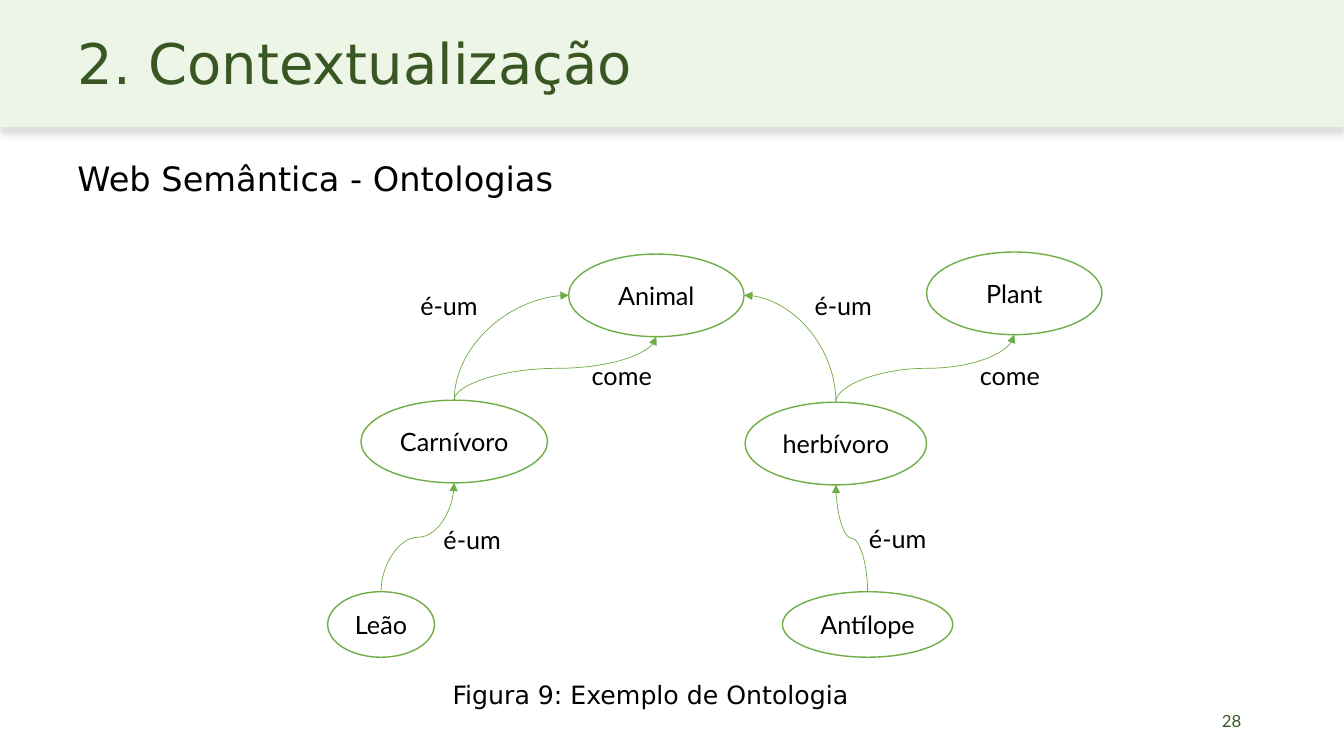
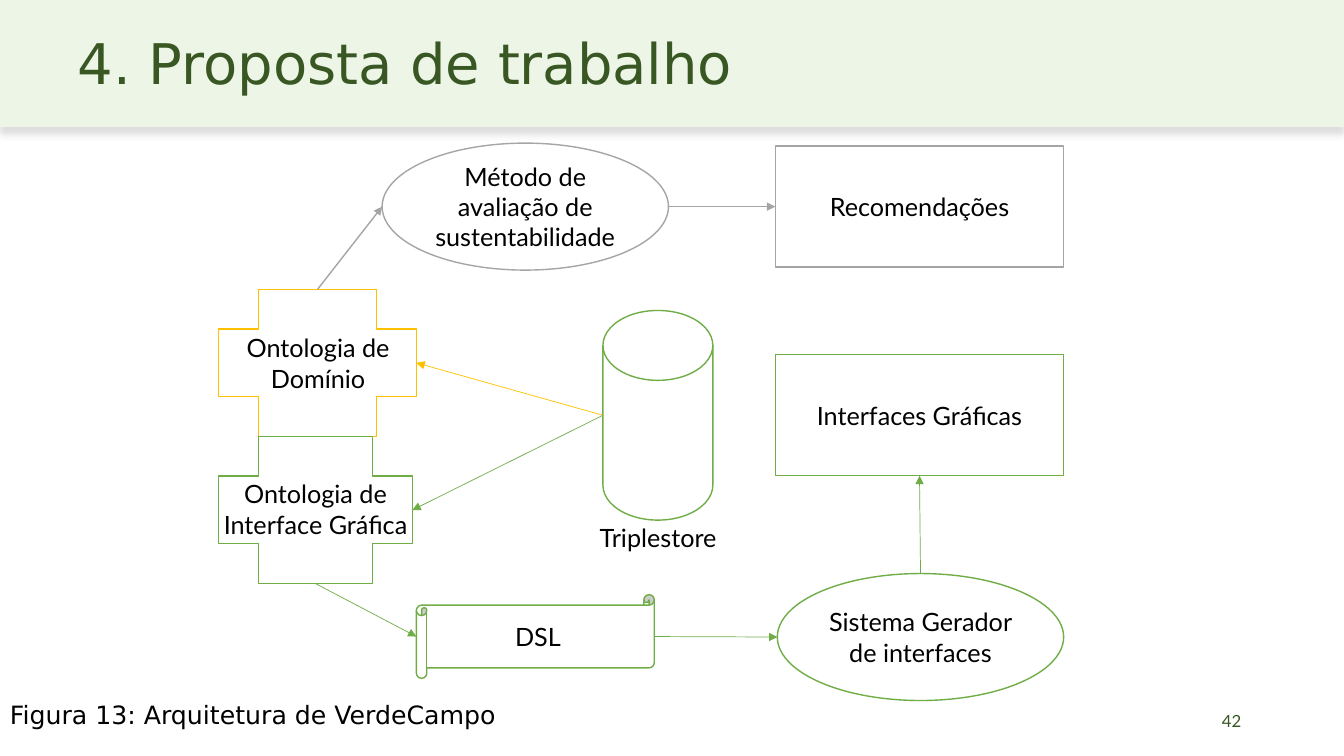
from lxml.etree import SubElement
from pptx import Presentation
from pptx.dml.color import RGBColor
from pptx.enum.shapes import MSO_CONNECTOR as CXN, MSO_SHAPE as SHAPE
from pptx.enum.text import MSO_ANCHOR as ANCHOR, MSO_AUTO_SIZE as FIT, PP_ALIGN as ALIGN
from pptx.oxml.ns import qn
from pptx.util import Inches, Pt

COLORS = {
    "band": "EDF5E7", "title": "385723", "text": "000000", "white": "FFFFFF",
    "green": "70AD47", "gold": "FFC000", "gray": "A5A5A5", "shadow": "BFBFBF",
}
HEAD, BODY = "DejaVu Sans", "Lato"
SIDES = ("top", "left", "bottom", "right")
SITES = {SHAPE.OVAL: (0, 2, 4, 6), SHAPE.FLOWCHART_MAGNETIC_DISK: (1, 2, 3, 4)}


def rgb(name):
    return RGBColor.from_string(COLORS[name])


class Deck:
    def __init__(self):
        self.prs = Presentation()
        self.prs.slide_width, self.prs.slide_height = Inches(13.33), Inches(7.5)
        self.layout = self.prs.slide_layouts[5]
        self.s = None

    def slide(self, title, number):
        first = self.s is None
        self.s = self.prs.slides.add_slide(self.layout)
        if first:
            self.band()
        sp = self.s.shapes.title
        self.place(sp, 0.67, 0, 11.75, 1.24)
        self.fill_text(sp, title, font=HEAD, size=40, color="title", anchor=ANCHOR.MIDDLE)
        self.text(number, 8.83, 6.95, 3.58, 0.4, size=12, color="title",
                  align=ALIGN.RIGHT, anchor=ANCHOR.MIDDLE)

    def band(self):
        sp = self.shape(SHAPE.RECTANGLE, 0, 0, 13.33, 1.26, fill="band", line=None)
        effects = sp.element.spPr.find(qn("a:effectLst"))
        shadow = SubElement(effects, qn("a:outerShdw"), blurRad=str(Pt(5)),
                            dist=str(Pt(5)), dir="5400000", rotWithShape="0")
        color = SubElement(shadow, qn("a:srgbClr"), val=COLORS["shadow"])
        SubElement(color, qn("a:alpha"), val="50000")
        self.layout.shapes.element.insert(2, sp.element)

    def place(self, sp, *box):
        for name, value in zip(("left", "top", "width", "height"), box):
            setattr(sp, name, Inches(value))

    def fill_text(self, sp, text, font=BODY, size=18, color="text", align=ALIGN.LEFT,
                  anchor=ANCHOR.TOP, wrap=True, margin=0.1, spacing=None):
        tf = sp.text_frame
        frame = {"auto_size": FIT.NONE, "word_wrap": wrap, "vertical_anchor": anchor,
                 "margin_left": Inches(margin), "margin_right": Inches(margin)}
        for name, value in frame.items():
            setattr(tf, name, value)
        tf.text = text
        for p in tf.paragraphs:
            p.alignment = align
            p.line_spacing = spacing
            for r in p.runs:
                for name, value in {"name": font, "size": Pt(size)}.items():
                    setattr(r.font, name, value)
                r.font.color.rgb = rgb(color)

    def text(self, text, x, y, w, h, **style):
        sp = self.s.shapes.add_textbox(*map(Inches, (x, y, w, h)))
        self.fill_text(sp, text, **style)

    def label(self, text, x, y, w, h=0.4, **style):
        self.text(text, x, y, w, h, wrap=False, **style)

    def shape(self, kind, x, y, w, h, fill="white", line="green"):
        sp = self.s.shapes.add_shape(kind, *map(Inches, (x, y, w, h)))
        sp.shadow.inherit = False
        sp.fill.solid()
        sp.fill.fore_color.rgb = rgb(fill)
        if line:
            sp.line.color.rgb = rgb(line)
            sp.line.width = Pt(1)
        else:
            sp.line.fill.background()
        return sp

    def node(self, text, kind, x, y, w, h, line="green"):
        sp = self.shape(kind, x, y, w, h, line=line)
        self.fill_text(sp, text, align=ALIGN.CENTER, anchor=ANCHOR.MIDDLE, margin=0.08)
        return sp

    def cross(self, text, x, y, w, h, line, label_box):
        sp = self.shape(SHAPE.CROSS, x, y, w, h, line=line)
        sp.adjustments[0] = 0.27
        self.label(text, *label_box, align=ALIGN.CENTER)
        return sp

    def anchor_point(self, sp, side):
        x = {"left": 0, "right": sp.width}.get(side, sp.width // 2)
        y = {"top": 0, "bottom": sp.height}.get(side, sp.height // 2)
        return sp.left + x, sp.top + y

    def arrow(self, start, start_side, end, end_side, color="green", width=0.5, curved=False):
        x1, y1 = self.anchor_point(start, start_side)
        x2, y2 = self.anchor_point(end, end_side)
        kind = CXN.CURVE if curved else CXN.STRAIGHT
        cxn = self.s.shapes.add_connector(kind, x1, y1, x2, y2)
        cxn.line.color.rgb = rgb(color)
        cxn.line.width = Pt(width)
        SubElement(cxn.element.spPr.find(qn("a:ln")), qn("a:tailEnd"), type="triangle")
        SubElement(cxn.element.spPr, qn("a:effectLst"))
        glue = cxn.element.nvCxnSpPr.cNvCxnSpPr
        for tag, sp, side in (("a:stCxn", start, start_side), ("a:endCxn", end, end_side)):
            site = SITES.get(sp.auto_shape_type, (0, 1, 2, 3))[SIDES.index(side)]
            SubElement(glue, qn(tag), id=str(sp.shape_id), idx=str(site))
        if curved:
            self.bend_upward(cxn, x1, y1, x2, y2, end_side)

    def bend_upward(self, cxn, x1, y1, x2, y2, end_side):
        w, h = abs(y2 - y1), abs(x2 - x1)
        cxn.left, cxn.top = (x1 + x2 - w) // 2, (y1 + y2 - h) // 2
        cxn.width, cxn.height = w, h
        xfrm = cxn.element.spPr.find(qn("a:xfrm"))
        rightward = x2 > x1
        turn = {"rot": "5400000" if rightward else "16200000",
                "flipH": "1" if rightward else "0", "flipV": "1"}
        for name, value in turn.items():
            xfrm.set(name, value)
        if end_side in ("left", "right"):
            cxn.element.spPr.find(qn("a:prstGeom")).set("prst", "curvedConnector2")


def ontology_slide(d):
    d.slide("2. Contextualização", "28")
    d.label("Figura 9: Exemplo de Ontologia", 4.39, 6.69, 4.22, font=HEAD)
    d.text("Web Semântica - Ontologias", 0.67, 1.4, 12.12, 0.79, font=HEAD, size=24,
           anchor=ANCHOR.MIDDLE, spacing=0.9)
    lion, carnivore, herbivore, animal, plant, antelope = [
        d.node(text, SHAPE.OVAL, *box) for text, *box in (
            ("Leão", 3.25, 5.87, 1.06, 0.65),
            ("Carnívoro", 3.58, 3.97, 1.85, 0.82),
            ("herbívoro", 7.39, 3.99, 1.8, 0.82),
            ("Animal", 5.64, 2.52, 1.74, 0.82),
            ("Plant", 9.19, 2.5, 1.74, 0.82),
            ("Antílope", 7.76, 5.87, 1.69, 0.65),
        )]
    for start, end, side in (
        (lion, carnivore, "bottom"), (carnivore, animal, "left"),
        (herbivore, animal, "right"), (carnivore, animal, "bottom"),
        (herbivore, plant, "bottom"), (antelope, herbivore, "bottom"),
    ):
        d.arrow(start, "top", end, side, curved=True)
    for x, y in ((4.3, 5.15), (8.52, 5.14), (4.07, 2.83), (7.98, 2.83)):
        d.label("é-um", x, y, 0.79)
    for x in (5.77, 9.62):
        d.label("come", x, 3.53, 0.82)


def architecture_slide(d):
    d.slide("4. Proposta de trabalho", "42")
    store = d.shape(SHAPE.FLOWCHART_MAGNETIC_DISK, 5.98, 3.08, 1.09, 2.08)
    d.label("Triplestore", 5.85, 5.13, 1.36)
    domain = d.cross("Ontologia de\nDomínio", 2.17, 2.87, 1.96, 1.46, "gold",
                     (2.19, 3.25, 1.93, 0.71))
    method = d.node("Método de avaliação de sustentabilidade", SHAPE.OVAL,
                    3.79, 1.42, 2.84, 1.26, "gray")
    advice = d.node("Recomendações", SHAPE.RECTANGLE, 7.69, 1.45, 2.86, 1.2, "gray")
    interface = d.cross("Ontologia de\nInterface Gráfica", 2.17, 4.33, 1.92, 1.46, "green",
                        (1.98, 4.7, 2.3, 0.71))
    dsl = d.node("DSL", SHAPE.HORIZONTAL_SCROLL, 4.13, 5.9, 2.36, 0.83)
    generator = d.node("Sistema Gerador de interfaces", SHAPE.OVAL, 7.71, 5.69, 2.84, 1.26)
    screens = d.node("Interfaces Gráficas", SHAPE.RECTANGLE, 7.69, 3.52, 2.86, 1.2)
    d.arrow(store, "left", domain, "right", "gold")
    d.arrow(domain, "top", method, "left", "gray", 1)
    d.arrow(method, "right", advice, "left", "gray", 1)
    d.arrow(store, "left", interface, "right")
    d.arrow(interface, "bottom", dsl, "left")
    d.arrow(dsl, "right", generator, "left")
    d.arrow(generator, "top", screens, "bottom")
    d.label("Figura 13: Arquitetura de VerdeCampo", 0, 6.89, 4.98, font=HEAD)


def main():
    d = Deck()
    ontology_slide(d)
    architecture_slide(d)
    d.prs.save("out.pptx")


if __name__ == "__main__":
    main()
